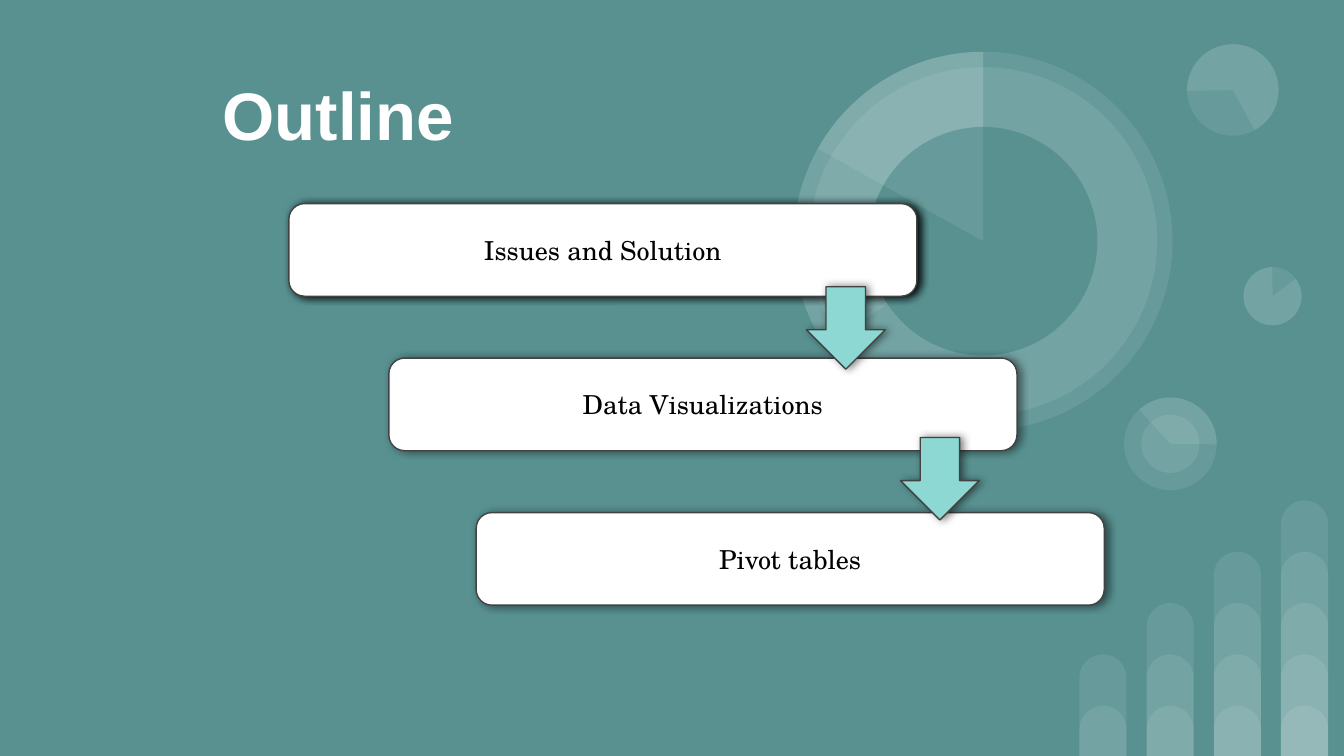
from dataclasses import dataclass

from lxml.etree import SubElement
from pptx import Presentation
from pptx.dml.color import RGBColor
from pptx.enum.shapes import MSO_SHAPE
from pptx.enum.text import MSO_ANCHOR, PP_ALIGN
from pptx.oxml.ns import qn
from pptx.util import Cm, Pt


@dataclass(frozen=True)
class Theme:
    background: str = "599191"
    white: str = "FFFFFF"
    outline: str = "424242"
    arrow: str = "8DD8D3"
    text: str = "000000"
    title_font: str = "Arial"
    step_font: str = "TeX Gyre Schola"
    title_size: int = 36
    step_size: int = 14
    line_width: float = 0.75
    veil: int = 9
    inset: float = 0.25


class SlideBuilder:
    def __init__(self, page, theme):
        self.page = page
        self.theme = theme
        fill = page.background.fill
        fill.solid()
        fill.fore_color.rgb = RGBColor.from_string(theme.background)

    def shape(self, kind, left, top, width, height, color, opacity=100):
        shape = self.page.shapes.add_shape(kind, Cm(left), Cm(top), Cm(width), Cm(height))
        shape.shadow.inherit = False
        shape.line.fill.background()
        shape.fill.solid()
        shape.fill.fore_color.rgb = RGBColor.from_string(color)
        if opacity < 100:
            tint = shape.element.spPr.find(qn("a:solidFill"))[0]
            SubElement(tint, qn("a:alpha"), val=str(opacity * 1000))
        return shape

    def outlined(self, kind, left, top, width, height, color, shadow_opacity):
        shape = self.shape(kind, left, top, width, height, color)
        shape.line.color.rgb = RGBColor.from_string(self.theme.outline)
        shape.line.width = Pt(self.theme.line_width)
        effects = shape.element.spPr.find(qn("a:effectLst"))
        shadow = SubElement(
            effects, qn("a:outerShdw"), blurRad=str(Pt(4.5)), dist=str(Pt(1.5)),
            dir=str(359 * 60000), algn="bl", rotWithShape="0",
        )
        tint = SubElement(shadow, qn("a:srgbClr"), val=self.theme.text)
        SubElement(tint, qn("a:alpha"), val=str(shadow_opacity * 1000))
        return shape

    def label(self, shape, text, font, size, color, align, bold=False):
        frame = shape.text_frame
        frame.word_wrap = True
        frame.vertical_anchor = MSO_ANCHOR.MIDDLE
        frame.margin_left = frame.margin_right = Cm(self.theme.inset)
        frame.margin_top = frame.margin_bottom = Cm(self.theme.inset)
        para = frame.paragraphs[0]
        para.alignment = align
        span = para.add_run()
        span.text = text
        span.font.name = font
        span.font.size = Pt(size)
        span.font.bold = bold
        span.font.color.rgb = RGBColor.from_string(color)

    def title(self, text, left, top, width, height):
        box = self.page.shapes.title
        box.left, box.top, box.width, box.height = Cm(left), Cm(top), Cm(width), Cm(height)
        theme = self.theme
        self.label(box, text, theme.title_font, theme.title_size, theme.white, PP_ALIGN.LEFT, True)

    def bar(self, left, bottom, width, height):
        theme = self.theme
        bar = self.shape(MSO_SHAPE.ROUND_2_SAME_RECTANGLE, left, bottom - height,
                         width, height, theme.white, theme.veil)
        bar.adjustments[0] = 0.5

    def disc(self, center, diameter, color=None):
        theme = self.theme
        x, y = center
        opacity = 100 if color else theme.veil
        self.shape(MSO_SHAPE.OVAL, x - diameter / 2, y - diameter / 2,
                   diameter, diameter, color or theme.white, opacity)

    def slice(self, center, diameter, start, end=162, rotation=0):
        theme = self.theme
        x, y = center
        pie = self.shape(MSO_SHAPE.PIE, x - diameter / 2, y - diameter / 2,
                         diameter, diameter, theme.white, theme.veil)
        pie.adjustments[0] = start
        pie.adjustments[1] = end
        pie.rotation = rotation

    def step(self, text, left, top, shadow_opacity):
        theme = self.theme
        box = self.outlined(MSO_SHAPE.ROUNDED_RECTANGLE, left, top, 11.87, 1.75,
                            theme.white, shadow_opacity)
        box.adjustments[0] = 0.17
        self.label(box, text, theme.step_font, theme.step_size, theme.text, PP_ALIGN.CENTER)

    def arrow(self, left, top):
        self.outlined(MSO_SHAPE.DOWN_ARROW, left, top, 1.49, 1.56, self.theme.arrow, 50)


def main():
    theme = Theme()
    deck = Presentation()
    deck.slide_width, deck.slide_height = Cm(25.4), Cm(14.29)
    page = deck.slides.add_slide(deck.slide_layouts[0])
    subtitle = page.placeholders[1].element
    subtitle.getparent().remove(subtitle)
    builder = SlideBuilder(page, theme)

    for column in range(4):
        for level in range(column + 2):
            builder.bar(20.4 + 1.27 * column, 14.29, 0.89, 0.95 + 0.97 * level)

    small = (24.05, 5.6)
    builder.disc(small, 1.1)
    builder.slice(small, 1.1, 193.77)

    target = (22.12, 8.39)
    builder.disc(target, 1.75)
    builder.slice(target, 1.75, 82.45, 162.46, 90)
    builder.disc(target, 1.1)

    corner = (23.3, 1.7)
    builder.disc(corner, 1.73)
    builder.slice(corner, 1.73, 193.77, 123.14, 215.9)

    ring = (18.58, 4.56)
    builder.disc(ring, 7.16)
    builder.disc(ring, 6.58)
    builder.slice(ring, 7.16, 88.01)
    builder.disc(ring, 4.32, theme.background)
    builder.slice(ring, 7.16, 125.54)

    builder.title("Outline", 3.96, 1.04, 9.25, 2.21)

    steps = [
        ("Issues and Solution", 5.46, 100),
        ("Data Visualizations", 7.35, 50),
        ("Pivot tables", 9, 50),
    ]
    for index, (text, left, shadow_opacity) in enumerate(steps):
        builder.step(text, left, 3.85 + 2.92 * index, shadow_opacity)
    for index in range(len(steps) - 1):
        builder.arrow(15.24 + 1.78 * index, 5.42 + 2.85 * index)

    deck.save("out.pptx")


if __name__ == "__main__":
    main()
